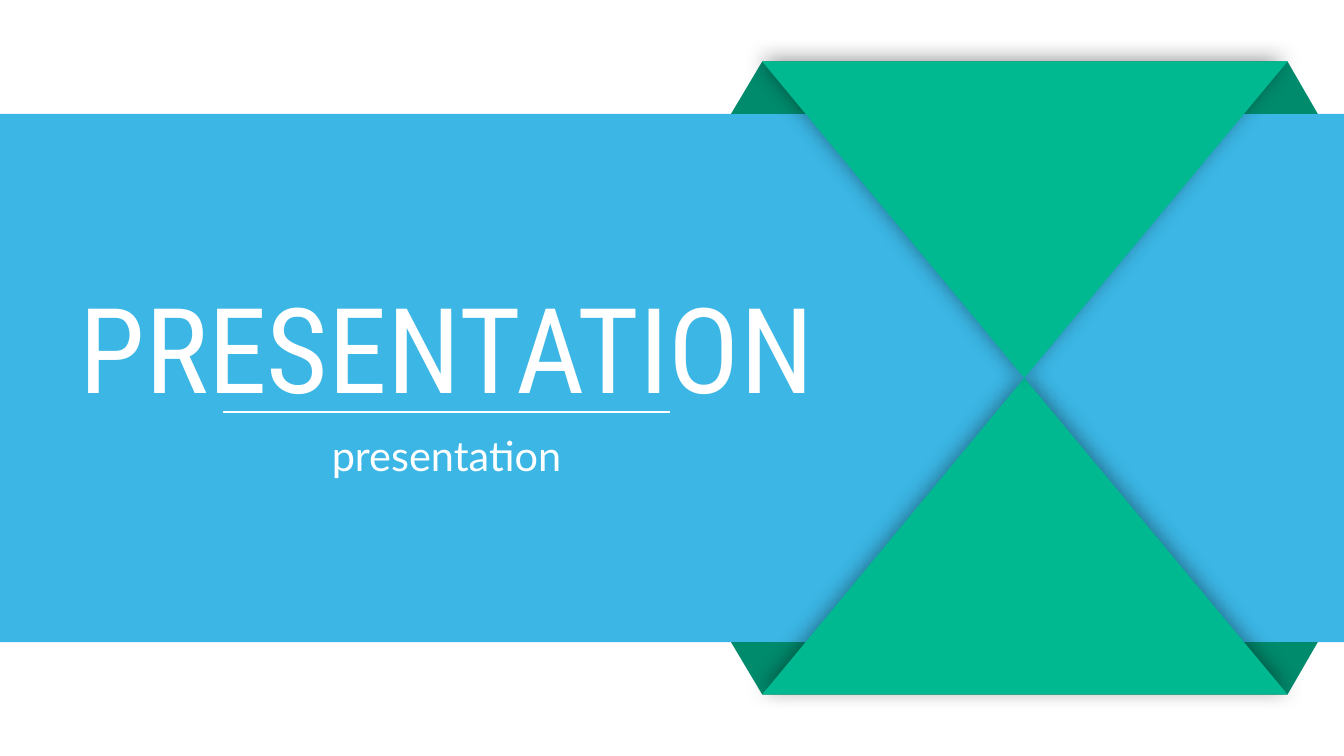
from lxml import etree
from pptx import Presentation
from pptx.dml.color import RGBColor
from pptx.enum import shapes, text
from pptx.oxml import ns
from pptx.util import Inches, Pt

BLUE = RGBColor(0x19, 0xAA, 0xE1)
GREEN = RGBColor(0x00, 0xB9, 0x91)
DARK_GREEN = RGBColor(0x00, 0x8B, 0x6D)
BLACK = RGBColor(0x00, 0x00, 0x00)
WHITE = RGBColor(0xFF, 0xFF, 0xFF)

WIDTH, HEIGHT = 13.33, 7.5
BAND_TOP, BAND_HEIGHT = 1.13, 5.24
BAND_BOTTOM = BAND_TOP + BAND_HEIGHT
RIBBON_TOP, RIBBON_BOTTOM = 0.61, 6.89
RIBBON_LEFT, RIBBON_RIGHT = 7.56, 12.77
FOLD_LEFT, FOLD_RIGHT = 7.25, 13.07
KNOT = (10.16, 3.75)


def add_child(parent, tag, **attributes):
    return etree.SubElement(parent, ns.qn(tag), attributes)


def paint(shape, color):
    shape.shadow.inherit = False
    shape.fill.solid()
    shape.fill.fore_color.rgb = color
    shape.line.fill.background()


def add_band(slide):
    band = slide.shapes.add_shape(
        shapes.MSO_SHAPE.RECTANGLE, 0, Inches(BAND_TOP),
        Inches(WIDTH), Inches(BAND_HEIGHT))
    paint(band, BLUE)
    color = band.fill._xPr.find(".//" + ns.qn("a:srgbClr"))
    add_child(color, "a:alpha", val="85000")


def add_polygon(slide, points, color):
    corners = [(Inches(x), Inches(y)) for x, y in points]
    builder = slide.shapes.build_freeform(*corners[0])
    builder.add_line_segments(corners[1:], close=True)
    polygon = builder.convert_to_shape()
    paint(polygon, color)
    return polygon


def cast_shadow(shape, degrees):
    effects = shape._element.spPr.find(ns.qn("a:effectLst"))
    shadow = add_child(
        effects, "a:outerShdw", blurRad=str(Pt(15)), dist=str(Pt(3)),
        dir=str(degrees * 60000), algn="ctr", rotWithShape="0")
    color = add_child(shadow, "a:srgbClr", val=str(BLACK))
    add_child(color, "a:alpha", val="40000")


def add_ribbon_half(slide, outer, band_edge, shadow_degrees):
    """Draw the dark fold behind the band and the triangle that meets the knot."""
    left, right = (RIBBON_LEFT, outer), (RIBBON_RIGHT, outer)
    fold = [left, right, (FOLD_RIGHT, band_edge), (FOLD_LEFT, band_edge)]
    add_polygon(slide, fold, DARK_GREEN)
    triangle = add_polygon(slide, [KNOT, left, right], GREEN)
    cast_shadow(triangle, shadow_degrees)


def fill_placeholder(slide, holder, box, words, font, size):
    """Place centred white text in front of the shapes drawn so far."""
    holder.left, holder.top, holder.width, holder.height = map(Inches, box)
    frame = holder.text_frame
    frame.word_wrap = True
    frame.auto_size = text.MSO_AUTO_SIZE.NONE
    frame.vertical_anchor = text.MSO_ANCHOR.TOP
    paragraph = frame.paragraphs[0]
    paragraph.alignment = text.PP_ALIGN.CENTER
    paragraph.space_before = Pt(0)
    run = paragraph.add_run()
    run.text = words
    run.font.name = font
    run.font.size = Pt(size)
    run.font.color.rgb = WHITE
    slide.shapes._spTree.append(holder._element)


def add_rule(slide, left, right, y):
    rule = slide.shapes.add_connector(
        shapes.MSO_CONNECTOR.STRAIGHT,
        Inches(left), Inches(y), Inches(right), Inches(y))
    rule.line.color.rgb = WHITE
    rule.line.width = Pt(1.5)
    add_child(rule._element.spPr, "a:effectLst")


def main():
    deck = Presentation()
    deck.slide_width, deck.slide_height = Inches(WIDTH), Inches(HEIGHT)
    slide = deck.slides.add_slide(deck.slide_layouts[0])
    title, subtitle = slide.placeholders

    add_band(slide)
    add_ribbon_half(slide, RIBBON_BOTTOM, BAND_BOTTOM, 270)
    add_ribbon_half(slide, RIBBON_TOP, BAND_TOP, 225)
    fill_placeholder(slide, subtitle, (2.6, 4.22, 3.66, 0.6),
                     "presentation", "Lato", 29.6)
    fill_placeholder(slide, title, (0.31, 2.68, 8.24, 1.53),
                     "PRESENTATION", "Roboto Condensed", 84.7)
    add_rule(slide, 2.21, 6.65, 4.09)
    deck.save("out.pptx")


if __name__ == "__main__":
    main()
